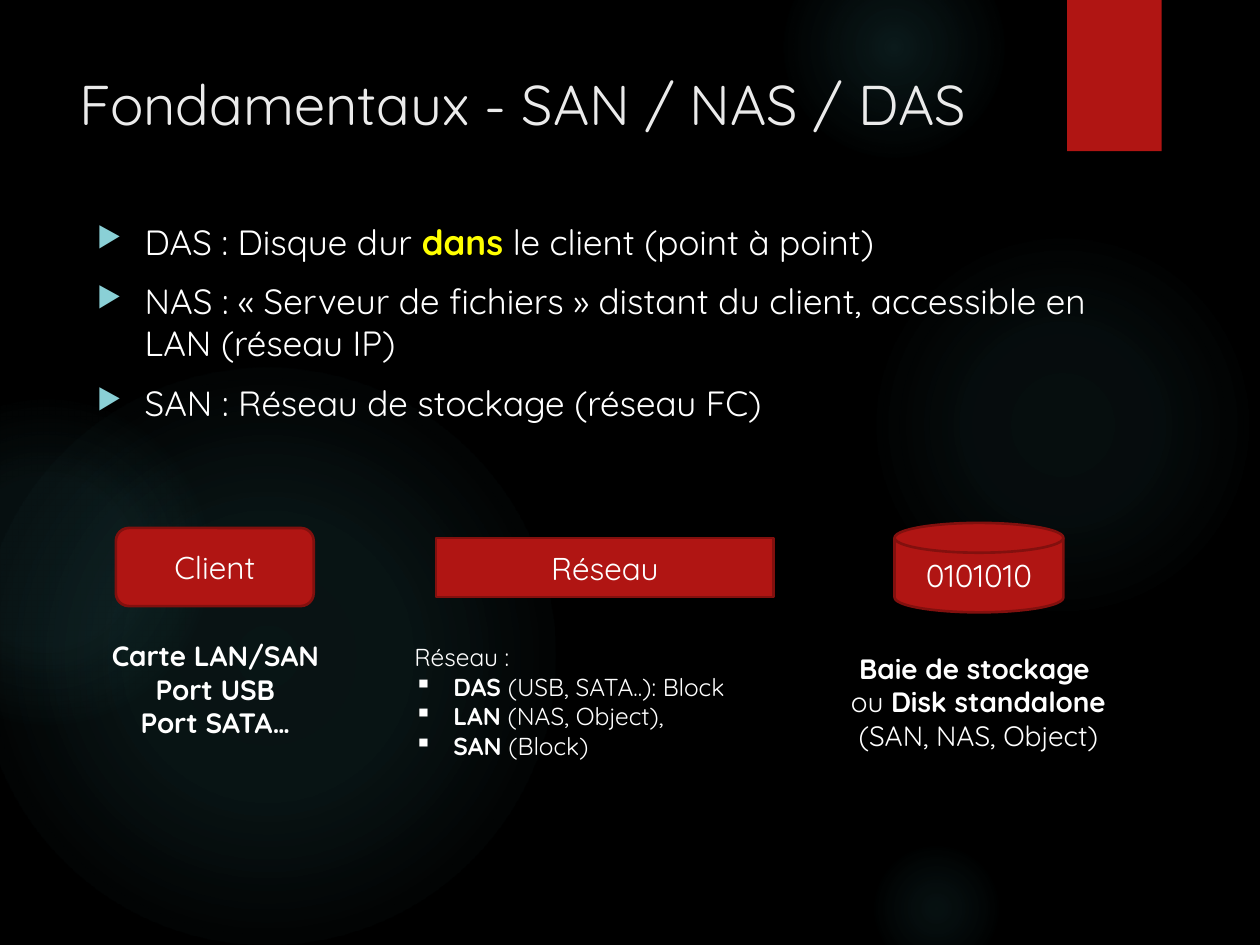
from lxml.etree import SubElement
from pptx import Presentation
from pptx.dml.color import RGBColor
from pptx.enum.shapes import MSO_SHAPE
from pptx.enum.text import MSO_ANCHOR, PP_ALIGN
from pptx.oxml import parse_xml
from pptx.oxml.ns import nsdecls, qn
from pptx.util import Inches, Pt

FONT = "Quicksand"
WHITE, RED, DARK_RED, YELLOW = "FFFFFF", "B01513", "82100E", "FFFF00"
GLOW, BULLET = "50B9C1", "8AD0D6"


def color(hex_text):
    return RGBColor.from_string(hex_text)


def write(para, spans, size, fill=WHITE):
    """Add (text, bold) spans to a paragraph; a newline becomes a line break."""
    for text, bold, *own_fill in spans:
        if text == "\n":
            para.add_line_break()
            continue
        span = para.add_run()
        span.text = text
        span.font.name, span.font.size, span.font.bold = FONT, Pt(size), bold
        span.font.color.rgb = color(own_fill[0] if own_fill else fill)


deck = Presentation()
deck.slide_width, deck.slide_height = Inches(10), Inches(7.5)
page = deck.slides.add_slide(deck.slide_layouts[5])
page.background.fill.solid()
page.background.fill.fore_color.rgb = color("000000")

# Background glows: left, top, diameter, (position, opacity) stops in percent
glows = [
    (6.89, 1.83, 3.08, [(0, 7), (36, 6), (69, 0)]),
    (6.22, -0.5, 1.75, [(0, 14), (36, 7), (73, 0)]),
    (6.89, 6.67, 1.08, [(0, 9), (36, 5), (66, 0)]),
    (-0.17, 2.92, 4.58, [(0, 11), (36, 10), (75, 0)]),
    (-0.92, 3.17, 2.58, [(0, 8), (36, 8), (72, 0)]),
]
for left, top, diameter, stops in glows:
    glow = page.shapes.add_shape(MSO_SHAPE.OVAL, Inches(left), Inches(top),
                                 Inches(diameter), Inches(diameter))
    glow.shadow.inherit = False
    glow.line.fill.background()
    stop_xml = "".join(
        f'<a:gs pos="{position * 1000}"><a:srgbClr val="{GLOW}">'
        f'<a:alpha val="{opacity * 1000}"/></a:srgbClr></a:gs>'
        for position, opacity in stops)
    gradient = parse_xml(
        f'<a:gradFill {nsdecls("a")}><a:gsLst>{stop_xml}</a:gsLst><a:path path="circle">'
        '<a:fillToRect l="50000" t="50000" r="50000" b="50000"/></a:path></a:gradFill>')
    glow.element.spPr.find(qn("a:prstGeom")).addnext(gradient)

# Red ribbon
ribbon = page.shapes.add_shape(MSO_SHAPE.RECTANGLE, Inches(8.47), 0, Inches(0.75), Inches(1.2))
ribbon.shadow.inherit = False
ribbon.fill.solid()
ribbon.fill.fore_color.rgb = color(RED)
ribbon.line.fill.background()

# Title, brought in front of the glows
title = page.shapes.title
title.element.getparent().append(title.element)
title.left, title.top, title.width, title.height = map(Inches, (0.53, 0.5, 7.72, 1.53))
title.text_frame.vertical_anchor = MSO_ANCHOR.TOP
title.text_frame.word_wrap = True
title.text_frame.paragraphs[0].alignment = PP_ALIGN.LEFT
write(title.text_frame.paragraphs[0], [("Fondamentaux - SAN / NAS / DAS", False)], 32, "EBEBEB")

# Red diagram shapes
nodes = [
    ("Réseau", MSO_SHAPE.RECTANGLE, 3.46, 4.27, 2.68, 0.47),
    ("0101010", MSO_SHAPE.FLOWCHART_MAGNETIC_DISK, 7.1, 4.15, 1.34, 0.71),
    ("Client", MSO_SHAPE.ROUNDED_RECTANGLE, 0.92, 4.19, 1.57, 0.62),
]
for label, kind, *place in nodes:
    node = page.shapes.add_shape(kind, *map(Inches, place))
    node.shadow.inherit = False
    node.fill.solid()
    node.fill.fore_color.rgb = color(RED)
    node.line.color.rgb = color(DARK_RED)
    node.line.width = Pt(1.5)
    node.text_frame.vertical_anchor = MSO_ANCHOR.MIDDLE
    node.text_frame.paragraphs[0].alignment = PP_ALIGN.CENTER
    write(node.text_frame.paragraphs[0], [(label, False)], 18)

# Text blocks: place, size, wrap, alignment, space before, indent,
# then paragraphs as (bullet, spans)
blocks = [
    ((0.67, 1.7, 8.43, 5.13), 20, True, PP_ALIGN.LEFT, 10, 0.38, [
        ("▶", [("DAS : Disque dur ", False), ("dans", True, YELLOW),
               (" le client (point à point)", False)]),
        ("▶", [("NAS : « Serveur de fichiers » distant du client, "
                "accessible en LAN (réseau IP)", False)]),
        ("▶", [("SAN : Réseau de stockage (réseau FC)", False)]),
    ]),
    ((3.19, 5.05, 2.74, 1.04), 14, False, PP_ALIGN.LEFT, 0, 0.31, [
        (None, [("Réseau :", False)]),
        ("▪", [("DAS", True), (" (USB, SATA..): Block", False)]),
        ("▪", [("LAN", True), (" (NAS, Object),", False)]),
        ("▪", [("SAN", True), (" (Block)", False)]),
    ]),
    ((6.63, 5.12, 2.27, 0.91), 16, False, PP_ALIGN.CENTER, 0, 0, [
        (None, [("Baie de stockage ", True), ("\n", True),
                ("ou ", False), ("Disk standalone", True)]),
        (None, [("(SAN, NAS, Object)", False)]),
    ]),
    ((0.78, 5.02, 1.86, 0.91), 16, False, PP_ALIGN.CENTER, 0, 0, [
        (None, [("Carte LAN/SAN", True)]),
        (None, [("Port USB", True)]),
        (None, [("Port SATA…", True)]),
    ]),
]
for place, size, wrap, alignment, space, indent, lines in blocks:
    box = page.shapes.add_textbox(*map(Inches, place))
    frame = box.text_frame
    frame.word_wrap = wrap
    for index, (bullet, spans) in enumerate(lines):
        para = frame.paragraphs[0] if index == 0 else frame.add_paragraph()
        para.alignment = alignment
        if index and space:
            para.space_before = Pt(space)
        if bullet:
            properties = para._p.get_or_add_pPr()
            properties.set("marL", str(Inches(indent)))
            properties.set("indent", str(-Inches(indent)))
            if bullet == "▶":
                tint = SubElement(properties, qn("a:buClr"))
                SubElement(tint, qn("a:srgbClr"), val=BULLET)
                SubElement(properties, qn("a:buSzPct"), val="80000")
            SubElement(properties, qn("a:buChar"), char=bullet)
        write(para, spans, size)

deck.save("out.pptx")
